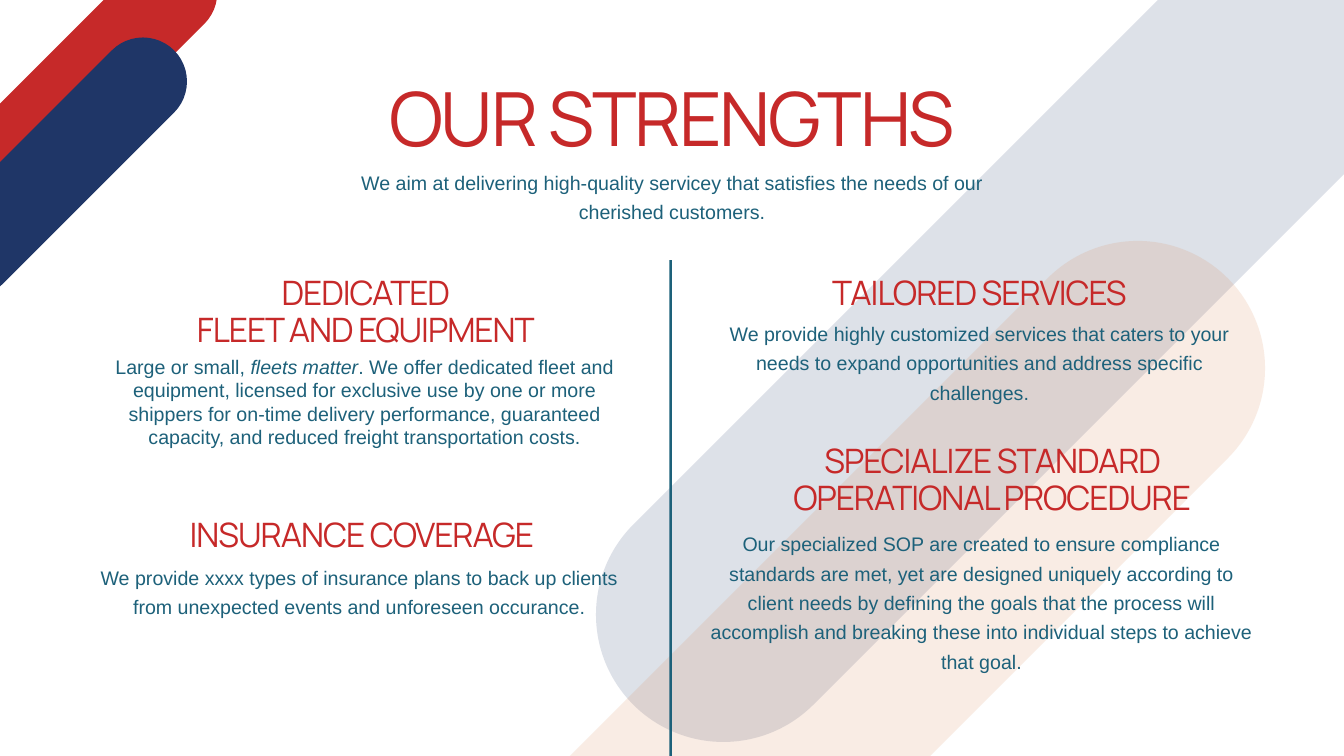
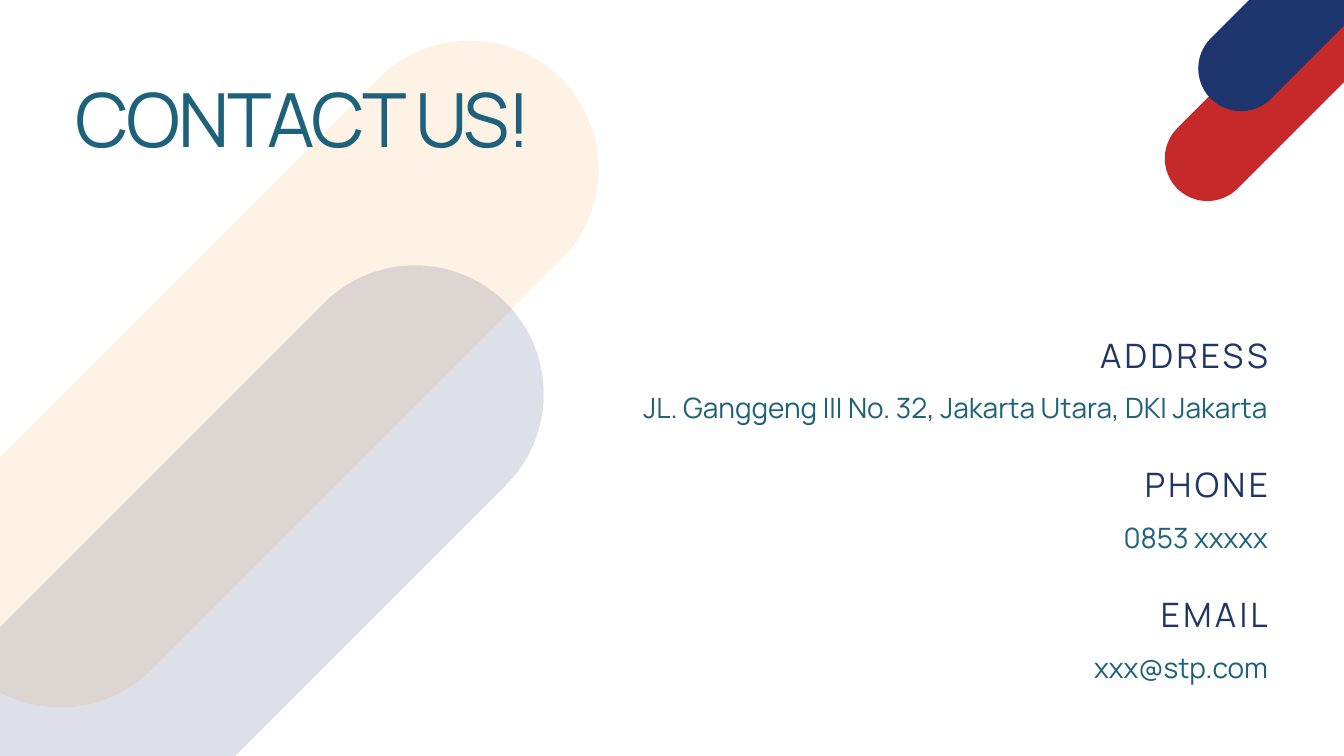
from lxml import etree
from pptx import Presentation
from pptx.dml.color import RGBColor
from pptx.enum import shapes, text
from pptx.oxml import ns
from pptx.util import Inches, Pt

INK = {"red": "C62929", "navy": "1F3667", "deep": "1E346C",
       "clay": "D8834D", "gold": "FAAB4E", "teal": "1D617A"}

STYLES = {
    "title": dict(font="Manrope", size=80, color="red", lead=88, gap=-240),
    "head": dict(font="Manrope", size=36, color="red", lead=39.6, gap=-110),
    "body": dict(font="Arial", size=21, color="teal", lead=31.5),
    "tight": dict(font="Arial", size=21, color="teal"),
    "label": dict(font="Manrope", size=36, color="navy", lead=46.8, gap=360),
    "value": dict(font="Manrope", size=30, color="teal", lead=45),
}

BANDS = {
    "strengths": [
        (-1.32, 0.58, 5.11, 1.31, "red", 100),
        (-1.6, 1.83, 4.91, 1.31, "navy", 100),
        (7.22, 3.27, 15.05, 3.79, "navy", 15),
        (6.09, 7.29, 14.27, 3.79, "clay", 15),
    ],
    "contact": [
        (16.93, 0.75, 4.02, 1.27, "red", 100),
        (17.44, -0.56, 3.94, 1.27, "deep", 100),
        (-2.28, 3.65, 12.45, 3.83, "gold", 15),
        (-4.12, 7.42, 13.65, 3.83, "deep", 15),
    ],
}

INTRO = ("We aim at delivering high-quality servicey that satisfies "
         "the needs of our cherished customers.")

STRENGTHS = [
    dict(head=["DEDICATED", "FLEET AND EQUIPMENT"], top=(1.41, 4.1, 1.12),
         text=[("Large or small, ", False), ("fleets matter", True),
               (". We offer dedicated fleet and equipment, licensed for exclusive "
                "use by one or more shippers for on-time delivery performance, "
                "guaranteed capacity, and reduced freight transportation costs.", False)],
         low=(1.39, 5.28, 1.41), style="tight"),
    dict(head=["TAILORED SERVICES"], top=(10.54, 4.1, 0.57),
         text="We provide highly customized services that caters to your needs "
              "to expand opportunities and address specific challenges.",
         low=(10.54, 4.7, 1.3), style="body"),
    dict(head=["SPECIALIZE STANDARD OPERATIONAL PROCEDURE"], top=(10.73, 6.59, 1.12),
         text="Our specialized SOP are created to ensure compliance standards are "
              "met, yet are designed uniquely according to client needs by defining "
              "the goals that the process will accomplish and breaking these into "
              "individual steps to achieve that goal.",
         low=(10.57, 7.83, 2.2), style="body"),
    dict(head=["INSURANCE COVERAGE"], top=(1.35, 7.7, 0.57),
         text="We provide xxxx types of insurance plans to back up clients from "
              "unexpected events and unforeseen occurance.",
         low=(1.31, 8.33, 0.85), style="body"),
]

CONTACTS = [
    ("ADDRESS", "JL. Ganggeng III No. 32, Jakarta Utara, DKI Jakarta"),
    ("PHONE", "0853 xxxxx"),
    ("EMAIL", "xxx@stp.com"),
]

COL = 8.07
CENTER, LEFT, RIGHT = (text.PP_ALIGN.CENTER, text.PP_ALIGN.LEFT, text.PP_ALIGN.RIGHT)


def rgb(name):
    return RGBColor.from_string(INK[name])


def paint(shape, color, alpha=100):
    shape.shadow.inherit = False
    shape.fill.solid()
    shape.fill.fore_color.rgb = rgb(color)
    shape.line.fill.background()
    if alpha < 100:
        node = shape.element.find(".//" + ns.qn("a:srgbClr"))
        etree.SubElement(node, ns.qn("a:alpha")).set("val", str(alpha * 1000))


def add_band(slide, x, y, w, h, color, alpha):
    band = slide.shapes.add_shape(shapes.MSO_SHAPE.ROUNDED_RECTANGLE,
                                  Inches(x), Inches(y), Inches(w), Inches(h))
    band.adjustments[0] = 0.5
    band.rotation = 315
    paint(band, color, alpha)


def style_text(par, align, font, size, color, lead=None, gap=0):
    par.alignment = align
    par.line_spacing = Pt(lead) if lead else 1.0
    par.space_before = par.space_after = Pt(0)
    par.font.name = font
    par.font.size = Pt(size)
    par.font.color.rgb = rgb(color)
    if gap:
        par.font._element.set("spc", str(gap))


def fill_text(box, lines, align, style, **more):
    frame = box.text_frame
    frame.word_wrap = True
    frame.auto_size = text.MSO_AUTO_SIZE.SHAPE_TO_FIT_TEXT
    frame.vertical_anchor = text.MSO_ANCHOR.TOP
    frame.margin_left = frame.margin_right = 0
    frame.margin_top = frame.margin_bottom = 0
    for i, line in enumerate(lines):
        par = frame.add_paragraph() if i else frame.paragraphs[0]
        for words, slant in [(line, False)] if isinstance(line, str) else line:
            run = par.add_run()
            run.text = words
            if slant:
                run.font.italic = True
        style_text(par, align, **{**STYLES[style], **more})


def add_text(slide, x, y, w, h, lines, align, style):
    box = slide.shapes.add_textbox(Inches(x), Inches(y), Inches(w), Inches(h))
    fill_text(box, lines, align, style)


def add_page(deck, bands, title, x, y, align, color):
    slide = deck.slides.add_slide(deck.slide_layouts[5])
    for band in bands:
        add_band(slide, *band)
    box = slide.shapes.title
    box.left, box.top, box.width, box.height = map(Inches, (x, y, 10.42, 1.25))
    fill_text(box, [title], align, "title", color=color)
    slide.shapes.element.append(box.element)
    return slide


def add_strengths(deck):
    slide = add_page(deck, BANDS["strengths"], "OUR STRENGTHS", 4.79, 1.18, CENTER, "red")
    rule = slide.shapes.add_shape(shapes.MSO_SHAPE.RECTANGLE, Inches(9.96),
                                  Inches(3.87), Inches(0.04), Inches(10.42))
    paint(rule, "teal")
    add_text(slide, 4.79, 2.45, 10.42, 0.85, [INTRO], CENTER, "body")
    for item in STRENGTHS:
        x, y, h = item["top"]
        add_text(slide, x, y, COL, h, item["head"], CENTER, "head")
        x, y, h = item["low"]
        add_text(slide, x, y, COL, h, [item["text"]], CENTER, item["style"])


def add_contact(deck):
    slide = add_page(deck, BANDS["contact"], "CONTACT US!", 1.12, 1.2, LEFT, "teal")
    for i, (label, value) in enumerate(CONTACTS):
        y = 4.93 + 1.93 * i
        add_text(slide, 7.01, y, 11.86, 0.61, [label], RIGHT, "label")
        add_text(slide, 7.01, y + 0.76, 11.86, 0.63, [value], RIGHT, "value")


def main():
    deck = Presentation()
    deck.slide_width, deck.slide_height = Inches(20), Inches(11.25)
    add_strengths(deck)
    add_contact(deck)
    deck.save("out.pptx")


if __name__ == "__main__":
    main()
